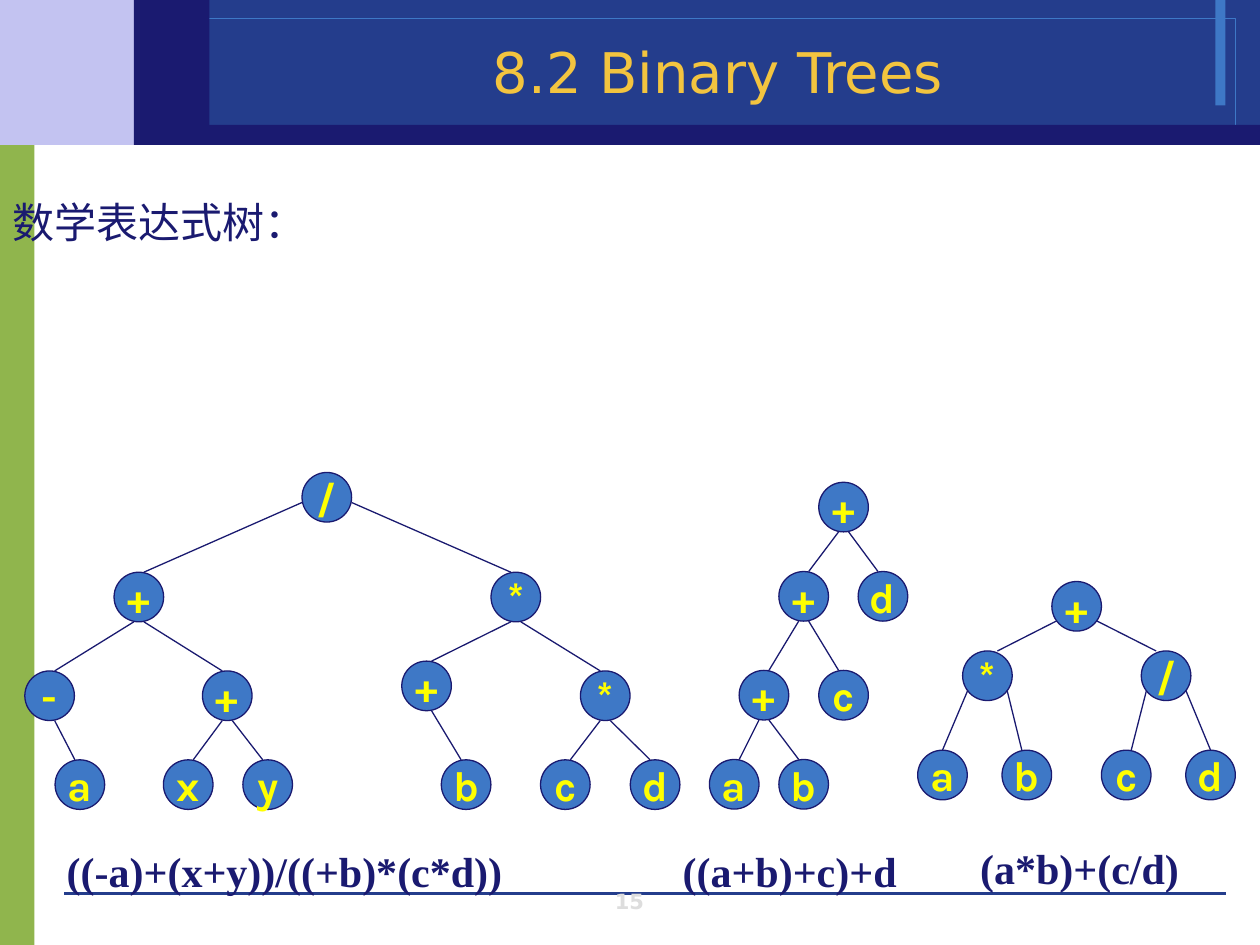
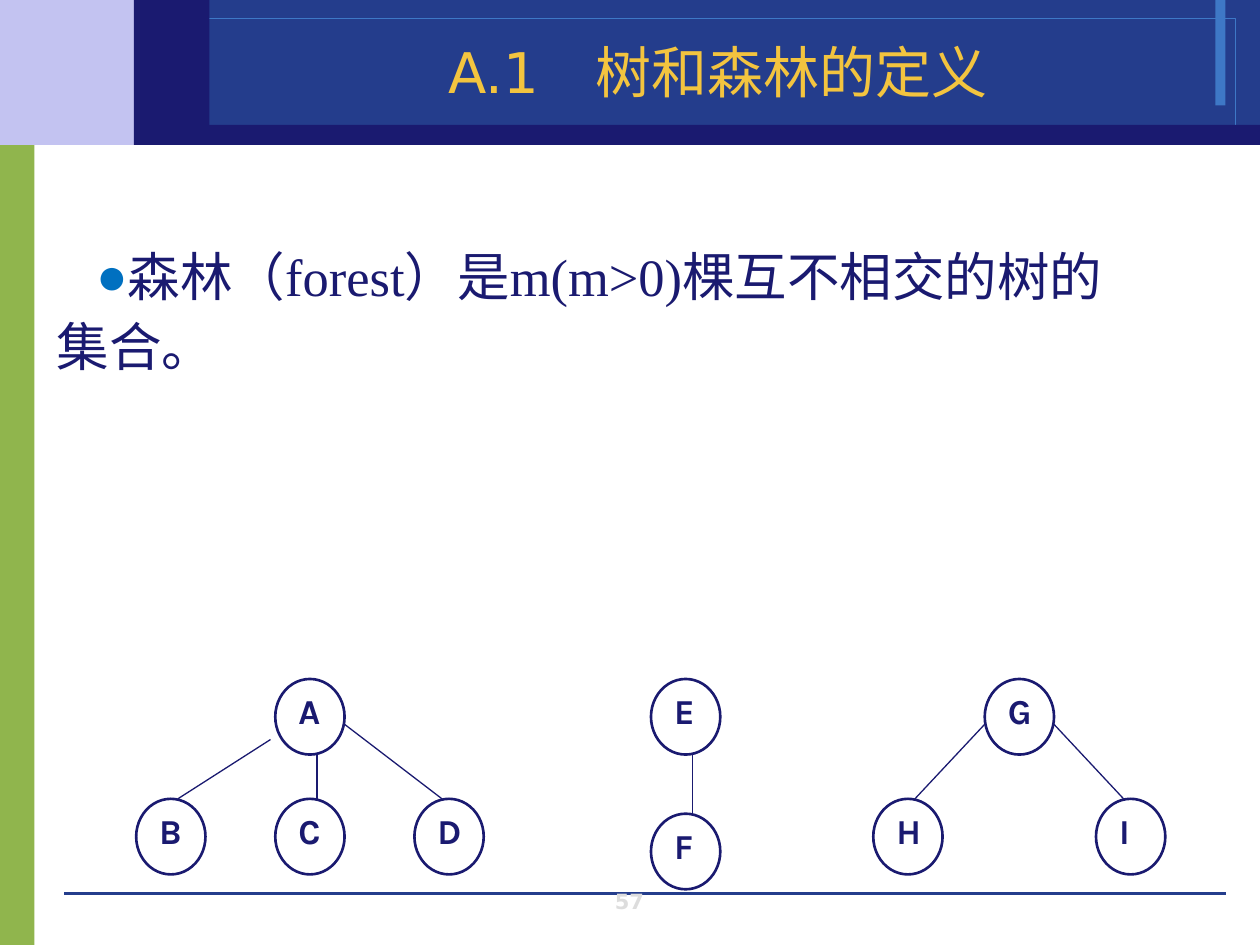
from dataclasses import dataclass

import pptx
import pptx.dml.color
import pptx.enum.shapes
import pptx.enum.text
import pptx.oxml.ns
import pptx.util
from lxml import etree

Pt = pptx.util.Pt
RGBColor = pptx.dml.color.RGBColor
SHAPE = pptx.enum.shapes.MSO_SHAPE
LINE = pptx.enum.shapes.MSO_CONNECTOR.STRAIGHT
ALIGN = pptx.enum.text.PP_ALIGN
ANCHOR = pptx.enum.text.MSO_ANCHOR
AUTO_SIZE = pptx.enum.text.MSO_AUTO_SIZE
qn = pptx.oxml.ns.qn

NAVY = RGBColor(0x1A, 0x1A, 0x70)
ROYAL = RGBColor(0x24, 0x3D, 0x8C)
BLUE = RGBColor(0x3E, 0x78, 0xC6)
LILAC = RGBColor(0xC3, 0xC3, 0xF1)
GREEN = RGBColor(0x90, 0xB5, 0x4D)
GOLD = RGBColor(0xF3, 0xC4, 0x3F)
YELLOW = RGBColor(0xFF, 0xFF, 0x00)
GREY = RGBColor(0xDD, 0xDD, 0xDD)
BULLET = RGBColor(0x00, 0x70, 0xC0)

SANS, SERIF, LABEL = "DejaVu Sans", "Times New Roman", "Karla"


@dataclass
class Style:
    """Look of a tree's nodes; near is how far edges end from a node's centre line."""
    width: float
    height: float
    near: float
    filled: bool


@dataclass
class Node:
    """Tree node; x, y is its top left corner within the tree's box.

    reach: offset from the centre where edges to children begin (x mirrored).
    start, land: own beginning and end of the edge from the parent.
    """
    label: str
    x: float
    y: float
    children: tuple = ()
    reach: tuple = None
    start: tuple = None
    land: float = None


SOLID = Style(28.35, 28.35, 2.85, True)
HOLLOW = Style(39.6, 43.2, 4, False)


def box(left, top, width, height):
    return Pt(left), Pt(top), Pt(width), Pt(height)


def add_text(tf, text, size, font, color, bold=False, align=ALIGN.LEFT):
    p = tf.paragraphs[0]
    p.alignment = align
    r = p.add_run()
    r.text = text
    r.font.size, r.font.name, r.font.bold = Pt(size), font, bold
    r.font.color.rgb = color
    return p


def add_shape(shapes, kind, place, fill=None, line=None, weight=0):
    sp = shapes.add_shape(kind, *box(*place))
    sp.shadow.inherit = False
    if fill is None:
        sp.fill.background()
    else:
        sp.fill.solid()
        sp.fill.fore_color.rgb = fill
    if line is None:
        sp.line.fill.background()
    else:
        sp.line.color.rgb = line
        sp.line.width = Pt(weight)
    return sp


def add_line(shapes, x1, y1, x2, y2, color, weight):
    cx = shapes.add_connector(LINE, Pt(x1), Pt(y1), Pt(x2), Pt(y2))
    cx.line.color.rgb = color
    cx.line.width = Pt(weight)
    etree.SubElement(cx.element.spPr, qn("a:effectLst"))
    return cx


def add_textbox(shapes, place):
    tf = shapes.add_textbox(*box(*place)).text_frame
    tf.word_wrap = True
    return tf


def decorate_layout(layout, s):
    """Draw the bands on s, then move them to the layout behind its placeholders."""
    for ph in list(layout.placeholders)[2:]:
        layout.shapes.element.remove(ph.element)
    rects = [
        ((0, 77, 19.7, 463), GREEN, None),
        ((0, 0, 110, 82.8), LILAC, None),
        ((110, 0, 610, 82.8), ROYAL, None),
        ((694.5, 0, 5.8, 60.2), BLUE, None),
        ((85.7, 10.4, 620.5, 61.2), None, BLUE),
        ((93.6, 71.4, 626.4, 11.4), NAVY, None),
        ((76.5, 0, 43.2, 82.8), NAVY, None),
    ]
    parts = [add_shape(s.shapes, SHAPE.RECTANGLE, *rect) for rect in rects]
    parts.append(add_line(s.shapes, 36.7, 510.5, 700.6, 510.5, ROYAL, 0))
    for i, part in enumerate(parts):
        layout.shapes.element.insert(2 + i, part.element)


def fill_placeholder(ph, place, anchor, *text, **look):
    ph.left, ph.top, ph.width, ph.height = box(*place)
    tf = ph.text_frame
    tf.auto_size = AUTO_SIZE.NONE
    tf.vertical_anchor = anchor
    return add_text(tf, *text, **look)


def add_title(s, text):
    fill_placeholder(s.shapes.title, (100.8, 18.7, 619.2, 44.6), ANCHOR.BOTTOM,
                     text, 32, SANS, GOLD, align=ALIGN.CENTER)


def add_page_number(s, number):
    tf = add_textbox(s.shapes, (275.8, 507.6, 167.8, 18))
    tf.vertical_anchor = ANCHOR.BOTTOM
    add_text(tf, number, 12, SANS, GREY, bold=True, align=ALIGN.CENTER)


def add_body(s, place, text, size, font, bulleted=False):
    p = fill_placeholder(s.placeholders[1], place, ANCHOR.TOP, text, size, font, NAVY)
    p.line_spacing = 1.1
    p.space_before = Pt(0)
    pPr = p._p.get_or_add_pPr()
    pPr.set("marL", "0")
    pPr.set("indent", str(Pt(22.5) if bulleted else 0))
    if bulleted:
        color = etree.SubElement(pPr, qn("a:buClr"))
        etree.SubElement(color, qn("a:srgbClr"), val=str(BULLET))
        etree.SubElement(pPr, qn("a:buChar"), char="●")
    else:
        etree.SubElement(pPr, qn("a:buNone"))


def add_node(shapes, x, y, label, style):
    place = (x, y, style.width, style.height)
    if style.filled:
        tf = add_shape(shapes, SHAPE.OVAL, place, BLUE, NAVY, 0.75).text_frame
        tf.word_wrap = False
        tf.vertical_anchor = ANCHOR.MIDDLE
        add_text(tf, label, 24, LABEL, YELLOW, bold=True, align=ALIGN.CENTER)
        return
    tf = add_textbox(shapes, (x + 13.2, y + 10.8, 20.9, 19.4))
    tf.margin_left = tf.margin_top = tf.margin_right = tf.margin_bottom = 0
    p = add_text(tf, label, 20, LABEL, NAVY, bold=True)
    p.line_spacing = 0.8
    add_shape(shapes, SHAPE.OVAL, place, None, NAVY, 1.5)


def add_edge(shapes, left, top, parent, child, style):
    side = (child.x > parent.x) - (child.x < parent.x)
    reach = parent.reach or (style.near, style.height / 2)
    start = (side * reach[0], reach[1]) if side else (style.near, style.height / 2)
    dx, dy = child.start or start
    land = child.land
    if land is None:
        land = -side * style.near if side else style.near
    mid = left + style.width / 2
    add_line(shapes, mid + parent.x + dx, top + parent.y + style.height / 2 + dy,
             mid + child.x + land, top + child.y, NAVY, 0.75)


def add_tree(shapes, left, top, node, style):
    add_node(shapes, left + node.x, top + node.y, node.label, style)
    for child in node.children:
        add_edge(shapes, left, top, node, child, style)
        add_tree(shapes, left, top, child, style)


def add_caption(s, place, text):
    add_text(add_textbox(s.shapes, place), text, 24, SERIF, NAVY, bold=True)


def expression_slide(s):
    add_title(s, "8.2 Binary Trees")
    add_body(s, (0, 105.8, 679.7, 147.6), "数学表达式树：", 24, SANS)

    quotient = Node("/", 158.4, 0, reach=(14.2, 3), children=(
        Node("+", 51, 57, (
            Node("-", 0, 113.4, (Node("a", 17.3, 164.2),)),
            Node("+", 101.5, 113.4, (Node("x", 79.2, 164.2), Node("y", 124.6, 164.2))))),
        Node("*", 266.4, 57, (
            Node("+", 215.4, 107.8, (Node("b", 238, 164.2),)),
            Node("*", 317.5, 113.4, (Node("c", 294.7, 164.2), Node("d", 346, 164.2)))))))
    chain_sum = Node("+", 62.5, 0, (
        Node("+", 39.7, 51, (
            Node("+", 17, 107.5, (Node("a", 0, 158.4), Node("b", 39.7, 158.4))),
            Node("c", 62.5, 107.5))),
        Node("d", 85, 51)))
    shoulder = (11.2, 8.2)
    product_sum = Node("+", 76.7, 0, reach=shoulder, children=(
        Node("*", 25.7, 39.7, reach=shoulder, land=5.7, children=(
            Node("a", 0, 96.4, land=0), Node("b", 48.2, 96.4))),
        Node("/", 127.8, 39.7, reach=shoulder, land=-5.7, children=(
            Node("c", 105, 96.4), Node("d", 153.2, 96.4, land=0)))))
    add_tree(s.shapes, 14.2, 270, quotient, SOLID)
    add_tree(s.shapes, 405.4, 275.6, chain_sum, SOLID)
    add_tree(s.shapes, 524.4, 332.3, product_sum, SOLID)

    add_caption(s, (31, 479.5, 317.5, 36), "((-a)+(x+y))/((+b)*(c*d))")
    add_caption(s, (383, 479.5, 193, 36), "((a+b)+c)+d")
    add_caption(s, (553, 478, 147.6, 36), "(a*b)+(c/d)")
    add_page_number(s, "15")


def forest_slide(s):
    add_title(s, "A.1　树和森林的定义")
    add_body(s, (25.2, 132.5, 627, 226), "森林（forest）是m(m>0)棵互不相交的树的集合。",
             30, SERIF, bulleted=True)
    side = (19.8, 4.3)
    forest = [
        (77.8, Node("A", 79.5, 0, reach=side, children=(
            Node("B", 0, 68.5, start=(-22.5, 13)), Node("C", 79.5, 68.5),
            Node("D", 159, 68.5)))),
        (372, Node("E", 0, 0, (Node("F", 0, 77),))),
        (499, Node("G", 63.7, 0, reach=side, children=(
            Node("H", 0, 68.5), Node("I", 127.3, 68.5)))),
    ]
    for left, root in forest:
        add_tree(s.shapes.add_group_shape().shapes, left, 388, root, HOLLOW)
    add_page_number(s, "57")


def main():
    prs = pptx.Presentation()
    prs.slide_width, prs.slide_height = Pt(720), Pt(540)
    layout = prs.slide_layouts[1]
    first = prs.slides.add_slide(layout)
    decorate_layout(layout, first)
    expression_slide(first)
    forest_slide(prs.slides.add_slide(layout))
    prs.save("out.pptx")


if __name__ == "__main__":
    main()
